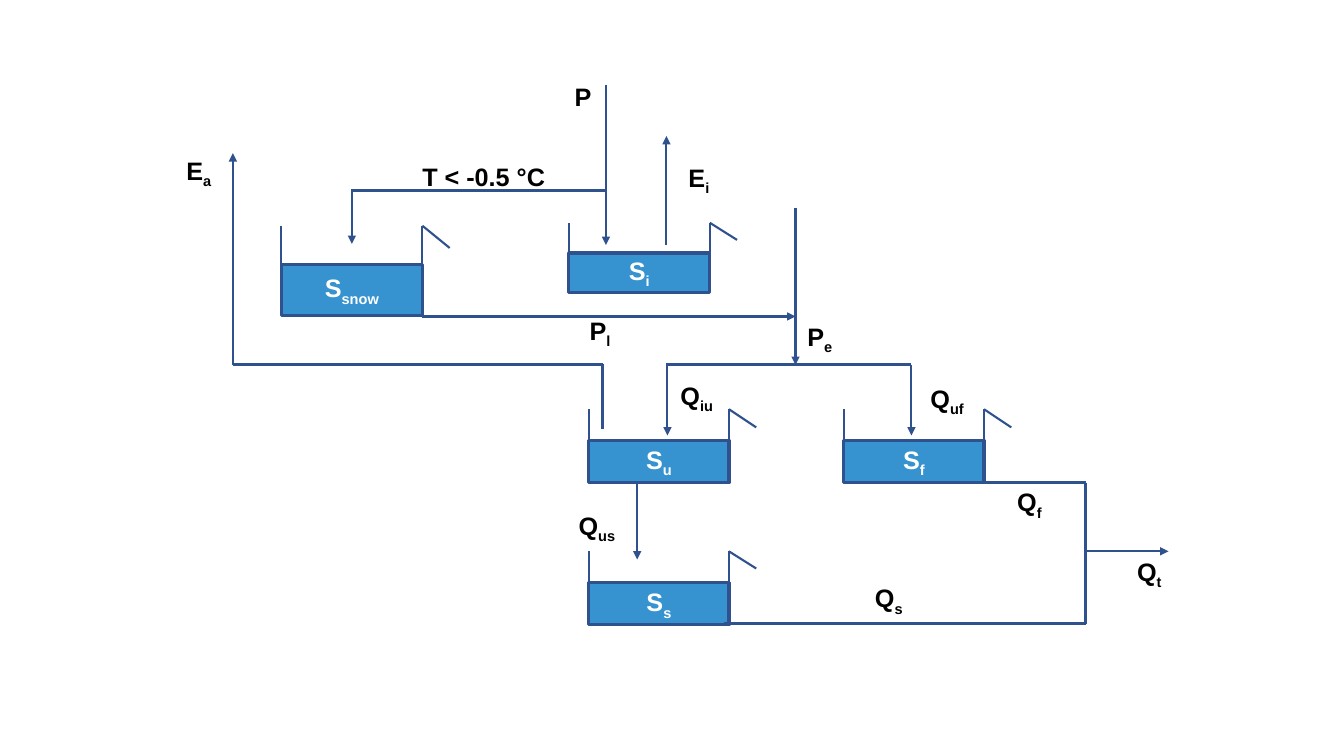
from lxml.etree import SubElement
from pptx import Presentation
from pptx.dml.color import RGBColor
from pptx.enum.shapes import MSO_CONNECTOR as Connector, MSO_SHAPE as Shape
from pptx.enum.text import MSO_ANCHOR as Anchor, MSO_AUTO_SIZE as AutoSize, PP_ALIGN as Align
from pptx.oxml.ns import qn
from pptx.util import Inches, Pt

BLUE = RGBColor(0x00, 0x76, 0xC3)
NAVY = RGBColor(0x2F, 0x52, 0x8F)
WHITE = RGBColor(0xFF, 0xFF, 0xFF)
BLACK = RGBColor(0x00, 0x00, 0x00)
THIN, THICK = 1.5, 2.25

presentation = Presentation()
presentation.slide_width = Inches(13.33)
presentation.slide_height = Inches(7.5)
slide = presentation.slides.add_slide(presentation.slide_layouts[6])


def add_line(x1, y1, x2, y2, width=THIN, arrow=False):
    line = slide.shapes.add_connector(
        Connector.STRAIGHT, Inches(x1), Inches(y1), Inches(x2), Inches(y2))
    line.line.color.rgb = NAVY
    line.line.width = Pt(width)
    if arrow:
        SubElement(line.line._get_or_add_ln(), qn("a:tailEnd"), type="triangle")
    SubElement(line._element.spPr, qn("a:effectLst"))


def write_symbol(paragraph, base, subscript, color):
    for text, baseline in ((base, 0), (subscript, -25000)):
        if not text:
            continue
        run = paragraph.add_run()
        run.text = text
        run.font.name = "Arial"
        run.font.size = Pt(18)
        run.font.bold = True
        run.font.color.rgb = color
        if baseline:
            run._r.get_or_add_rPr().set("baseline", str(baseline))


# Reservoirs: subscript, left, top, width, height, rim, left post foot, right post foot, lip end
reservoirs = [
    ("snow", 2.79, 2.62, 1.4, 0.51, 2.24, 2.88, 2.62, 2.46),
    ("i", 5.64, 2.51, 1.4, 0.39, 2.21, 2.7, 2.81, 2.38),
    ("u", 5.84, 4.37, 1.39, 0.42, 4.06, 4.58, 4.69, 4.24),
    ("f", 8.37, 4.37, 1.39, 0.42, 4.06, 4.58, 4.69, 4.24),
    ("s", 5.84, 5.78, 1.39, 0.42, 5.47, 5.99, 6.1, 5.64),
]
for subscript, left, top, width, height, rim, left_foot, right_foot, lip in reservoirs:
    store = slide.shapes.add_shape(
        Shape.RECTANGLE, Inches(left), Inches(top), Inches(width), Inches(height))
    store.shadow.inherit = False
    store.fill.solid()
    store.fill.fore_color.rgb = BLUE
    fill_color = store._element.spPr.find(qn("a:solidFill")).find(qn("a:srgbClr"))
    SubElement(fill_color, qn("a:alpha"), val="79000")
    store.line.color.rgb = NAVY
    store.line.width = Pt(THICK)
    store.text_frame.vertical_anchor = Anchor.MIDDLE
    paragraph = store.text_frame.paragraphs[0]
    paragraph.alignment = Align.CENTER
    write_symbol(paragraph, "S", subscript, WHITE)
    right = left + width
    add_line(left, left_foot, left, rim)
    add_line(right, right_foot, right, rim)
    add_line(right, rim, right + 0.27, lip)

# Flow arrows
arrows = [
    (6.01, 0.84, 6.01, 2.43),    # P
    (6.61, 2.43, 6.61, 1.35),    # Ei
    (3.49, 1.89, 3.49, 2.42),    # snowfall
    (4.19, 3.14, 7.89, 3.14),    # Pl
    (7.89, 2.06, 7.89, 3.62),    # Pe
    (6.62, 3.62, 6.62, 4.32),    # Qiu
    (9.04, 3.62, 9.04, 4.32),    # Quf
    (6.32, 4.79, 6.32, 5.55),    # Qus
    (2.31, 3.62, 2.31, 1.52),    # Ea
    (10.77, 5.47, 11.59, 5.47),  # Qt
]
for ends in arrows:
    add_line(*ends, arrow=True)

# Connecting pipes
pipes = [
    (6.01, 1.89, 3.48, 1.89),    # snow branch
    (6.61, 3.62, 9.04, 3.62),    # split of Pe
    (5.98, 4.26, 5.98, 3.61),    # evaporation riser
    (2.31, 3.62, 5.98, 3.62),
    (9.75, 4.79, 10.77, 4.79),   # Qf
    (7.18, 6.19, 10.77, 6.19),   # Qs
    (10.77, 4.79, 10.77, 6.19),  # junction of Qf and Qs
]
for ends in pipes:
    add_line(*ends, width=THICK)

# Flow labels: base, subscript, left, top, width
labels = [
    ("P", "", 5.6, 0.76, 0.54),
    ("T < -0.5 °C", "", 4.09, 1.55, 1.66),
    ("E", "i", 6.73, 1.56, 0.54),
    ("E", "a", 1.75, 1.49, 0.54),
    ("P", "l", 5.75, 3.08, 0.54),
    ("P", "e", 7.91, 3.14, 0.54),
    ("Q", "iu", 6.65, 3.72, 0.58),
    ("Q", "uf", 9.13, 3.75, 0.63),
    ("Q", "us", 5.64, 5.01, 0.64),
    ("Q", "f", 9.99, 4.78, 0.54),
    ("Q", "s", 8.58, 5.73, 0.54),
    ("Q", "t", 11.18, 5.47, 0.54),
]
for base, subscript, left, top, width in labels:
    label = slide.shapes.add_textbox(Inches(left), Inches(top), Inches(width), Inches(0.4))
    label.text_frame.word_wrap = True
    label.text_frame.auto_size = AutoSize.SHAPE_TO_FIT_TEXT
    write_symbol(label.text_frame.paragraphs[0], base, subscript, BLACK)

presentation.save("out.pptx")
